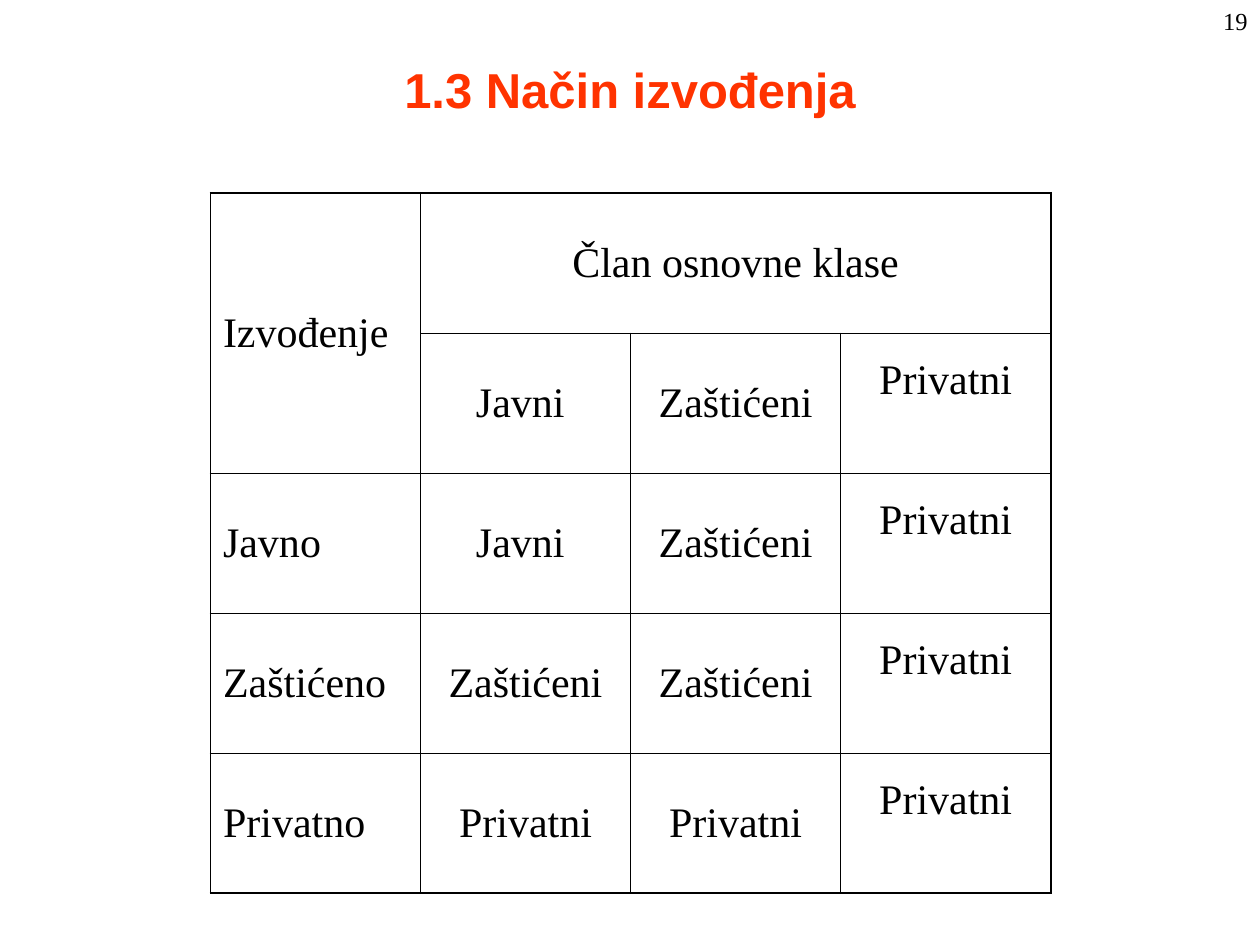
from dataclasses import dataclass

from lxml import etree
from pptx import Presentation
from pptx import util as u
from pptx.dml.color import RGBColor
from pptx.enum import text
from pptx.oxml import ns


@dataclass(frozen=True)
class Theme:
    ink: str = "000000"
    accent: str = "FF3300"
    paper: str = "FFFFFF"
    title_font: str = "Arial"
    body_font: str = "Times New Roman"
    title_size: int = 28
    table_size: int = 24
    number_size: int = 14
    outer_line: float = 1.08
    inner_line: float = 0.45


theme = Theme()
align = text.PP_ALIGN
middle = text.MSO_ANCHOR.MIDDLE


def write(frame, words, size, font=theme.body_font, color=theme.ink,
          bold=False, alignment=align.LEFT):
    paragraph = frame.paragraphs[0]
    paragraph.alignment = alignment
    run = paragraph.add_run()
    run.text = words
    run.font.size = u.Pt(size)
    run.font.name = font
    run.font.bold = bold
    run.font.color.rgb = RGBColor.from_string(color)


def add_border(cell, side, width):
    line = etree.SubElement(cell._tc.get_or_add_tcPr(), ns.qn(f"a:ln{side}"),
                            w=str(u.Pt(width)))
    fill = etree.SubElement(line, ns.qn("a:solidFill"))
    etree.SubElement(fill, ns.qn("a:srgbClr"), val=theme.ink)


presentation = Presentation()
presentation.slide_width = u.Inches(10)
presentation.slide_height = u.Inches(7.5)
slide = presentation.slides.add_slide(presentation.slide_layouts[5])
slide.background.fill.solid()
slide.background.fill.fore_color.rgb = RGBColor.from_string(theme.paper)

# Title
title = slide.shapes.title
title.left, title.top = u.Inches(0.75), u.Inches(0.08)
title.width, title.height = u.Inches(8.5), u.Inches(1.25)
title.text_frame.vertical_anchor = middle
write(title.text_frame, "1.3 Način izvođenja", theme.title_size,
      font=theme.title_font, color=theme.accent, bold=True,
      alignment=align.CENTER)

# Page number
number = slide.shapes.add_textbox(u.Inches(7.92), 0, u.Inches(2.08), u.Inches(0.5))
number.text_frame.word_wrap = True
write(number.text_frame, "19", theme.number_size, alignment=align.RIGHT)

# Table of access after derivation
rows = [
    ["Izvođenje", "Član osnovne klase", "", ""],
    ["", "Javni ", "Zaštićeni", "Privatni"],
    ["Javno", "Javni ", "Zaštićeni", "Privatni"],
    ["Zaštićeno", "Zaštićeni", "Zaštićeni", "Privatni"],
    ["Privatno", "Privatni", "Privatni", "Privatni"],
]
row_count, column_count = len(rows), len(rows[0])
table = slide.shapes.add_table(row_count, column_count, u.Inches(1.67), u.Inches(1.53),
                               u.Inches(6.67), u.Inches(5.56)).table
table.first_row = False
table.horz_banding = False
table.cell(0, 0).merge(table.cell(1, 0))
table.cell(0, 1).merge(table.cell(0, 3))

for row, values in enumerate(rows):
    for column, value in enumerate(values):
        cell = table.cell(row, column)
        # Thick lines around the table, thin lines inside
        on_edge = {
            "L": column == 0,
            "R": column + cell.span_width >= column_count,
            "T": row == 0,
            "B": row + cell.span_height >= row_count,
        }
        for side, outer in on_edge.items():
            add_border(cell, side, theme.outer_line if outer else theme.inner_line)
        cell.fill.background()
        if cell.is_spanned:
            continue
        cell.vertical_anchor = middle
        cell.margin_left = cell.margin_right = u.Inches(0.1)
        # The last column sits above the middle of its cells
        raised = column == column_count - 1
        cell.margin_top = u.Inches(0.05)
        cell.margin_bottom = u.Inches(0.41 if raised else 0.05)
        write(cell.text_frame, value, theme.table_size,
              alignment=align.LEFT if column == 0 else align.CENTER)

presentation.save("out.pptx")
